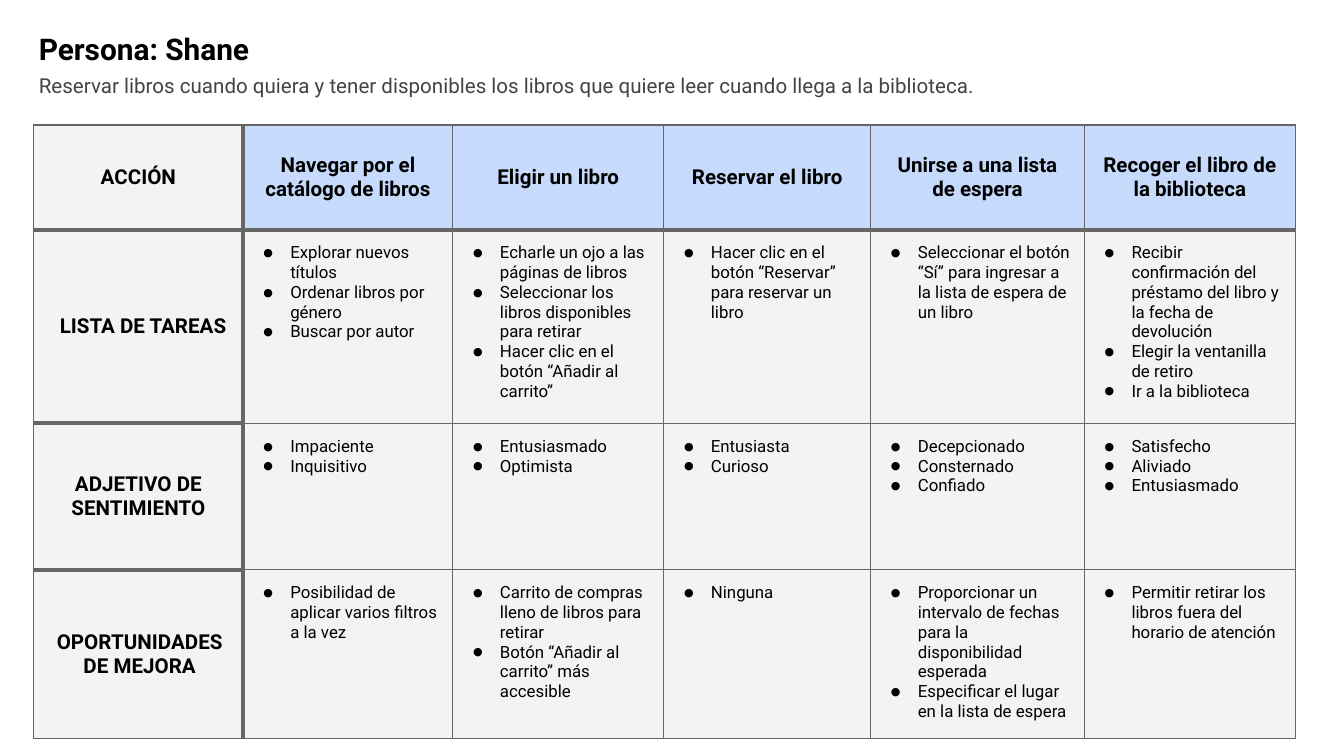
from lxml import etree
from pptx import Presentation
from pptx.dml.color import RGBColor
from pptx.enum.text import MSO_ANCHOR, PP_ALIGN
from pptx.oxml.ns import qn
from pptx.util import Inches, Pt

CENTER, LEFT = PP_ALIGN.CENTER, PP_ALIGN.LEFT
MIDDLE, TOP = MSO_ANCHOR.MIDDLE, MSO_ANCHOR.TOP
FONT = "Roboto"
BLACK, SUBTITLE_GRAY, BORDER_GRAY = "000000", "434343", "666666"
HEADER_BLUE, CELL_GRAY = "C6DAFC", "F3F3F3"
THIN, THICK = 0.75, 2.25
MARGIN = 0.1
SLIDE_WIDTH = 10

COL_WIDTHS = [1.56, 1.56, 1.57, 1.54, 1.59, 1.57]
ROW_HEIGHTS = [0.78, 1.44, 1.09, 1.15]

ACTIONS = [
    "ACCIÓN",
    "Navegar por el catálogo de libros",
    "Eligir un libro",
    "Reservar el libro",
    "Unirse a una lista de espera",
    "Recoger el libro de la biblioteca",
]
JOURNEY = [
    ("LISTA DE TAREAS", [
        ["Explorar nuevos títulos", "Ordenar libros por género", "Buscar por autor"],
        ["Echarle un ojo a las páginas de libros",
         "Seleccionar los libros disponibles para retirar",
         "Hacer clic en el botón “Añadir al carrito”"],
        ["Hacer clic en el botón “Reservar” para reservar un libro"],
        ["Seleccionar el botón “Sí” para ingresar a la lista de espera de un libro"],
        ["Recibir confirmación del préstamo del libro y la fecha de devolución",
         "Elegir la ventanilla de retiro", "Ir a la biblioteca"],
    ]),
    ("ADJETIVO DE SENTIMIENTO", [
        ["Impaciente", "Inquisitivo"],
        ["Entusiasmado", "Optimista"],
        ["Entusiasta", "Curioso"],
        ["Decepcionado", "Consternado", "Confiado"],
        ["Satisfecho", "Aliviado", "Entusiasmado"],
    ]),
    ("OPORTUNIDADES DE MEJORA", [
        ["Posibilidad de aplicar varios filtros a la vez"],
        ["Carrito de compras lleno de libros para retirar",
         "Botón “Añadir al carrito” más accesible"],
        ["Ninguna"],
        ["Proporcionar un intervalo de fechas para la disponibilidad esperada",
         "Especificar el lugar en la lista de espera"],
        ["Permitir retirar los libros fuera del horario de atención"],
    ]),
]


def rgb(color):
    return RGBColor.from_string(color)


def add_color(parent, color):
    etree.SubElement(parent, qn("a:srgbClr"), val=color)


def write_text(tf, lines, size=11, bold=False, color=BLACK, align=LEFT,
               space_after=0, indent=None, bullet=None):
    """Fill a text frame, one paragraph a line; indent is (left, first line)."""
    for i, line in enumerate(lines):
        p = tf.paragraphs[0] if i == 0 else tf.add_paragraph()
        p.alignment = align
        p.space_after = Pt(space_after)
        pPr = p._p.get_or_add_pPr()
        if indent:
            pPr.set("marL", str(Inches(indent[0])))
            pPr.set("indent", str(Inches(indent[1])))
        if bullet:
            add_color(etree.SubElement(pPr, qn("a:buClr")), color)
            etree.SubElement(pPr, qn("a:buSzPct"), val="65000")
            etree.SubElement(pPr, qn("a:buFont"), typeface=FONT)
            etree.SubElement(pPr, qn("a:buChar"), char=bullet)
        r = p.add_run()
        r.text = line
        r.font.name = FONT
        r.font.size = Pt(size)
        r.font.bold = bold
        r.font.color.rgb = rgb(color)


def add_text_box(slide, left, top, width, height, text, **text_format):
    tf = slide.shapes.add_textbox(
        Inches(left), Inches(top), Inches(width), Inches(height)).text_frame
    tf.word_wrap = True
    tf.margin_left = tf.margin_right = Inches(MARGIN)
    tf.margin_top = tf.margin_bottom = Inches(MARGIN)
    write_text(tf, [text], **text_format)


def border_widths(row, col):
    """Thick rules set off the header row and the label column."""
    label = col == 0
    last_row = row == len(ROW_HEIGHTS) - 1
    thick = {
        "L": col == 1,
        "R": label,
        "T": row == 1 or (label and row > 0),
        "B": row == 0 or (label and not last_row),
    }
    return {side: THICK if on else THIN for side, on in thick.items()}


def style_cell(cell, fill, anchor, borders):
    tcPr = cell._tc.get_or_add_tcPr()
    for side, width in borders.items():
        ln = etree.SubElement(tcPr, qn(f"a:ln{side}"), w=str(Pt(width)),
                              cap="flat", cmpd="sng")
        add_color(etree.SubElement(ln, qn("a:solidFill")), BORDER_GRAY)
        etree.SubElement(ln, qn("a:prstDash"), val="solid")
    cell.fill.solid()
    cell.fill.fore_color.rgb = rgb(fill)
    cell.vertical_anchor = anchor
    cell.margin_left = cell.margin_right = Inches(MARGIN)
    cell.margin_top = cell.margin_bottom = Inches(MARGIN)


def add_heading_cell(table, row, col, text, **text_format):
    cell = table.cell(row, col)
    fill = HEADER_BLUE if col else CELL_GRAY
    style_cell(cell, fill, MIDDLE, border_widths(row, col))
    write_text(cell.text_frame, [text], bold=True, align=CENTER, **text_format)


def add_bullet_cell(table, row, col, items):
    cell = table.cell(row, col)
    style_cell(cell, CELL_GRAY, TOP, border_widths(row, col))
    write_text(cell.text_frame, items, size=9, indent=(0.25, -0.2), bullet="●")


def add_journey_table(slide):
    table = slide.shapes.add_table(
        len(ROW_HEIGHTS), len(COL_WIDTHS), Inches(0.25), Inches(0.93),
        Inches(sum(COL_WIDTHS)), Inches(sum(ROW_HEIGHTS))).table
    table.first_row = table.horz_banding = False
    for column, width in zip(table.columns, COL_WIDTHS):
        column.width = Inches(width)
    for table_row, height in zip(table.rows, ROW_HEIGHTS):
        table_row.height = Inches(height)

    for col, action in enumerate(ACTIONS):
        add_heading_cell(table, 0, col, action)
    for row, (label, cells) in enumerate(JOURNEY, start=1):
        add_heading_cell(table, row, 0, label,
                         indent=(0.19, -0.12) if row == 1 else None)
        for col, items in enumerate(cells, start=1):
            add_bullet_cell(table, row, col, items)
    table.cell(len(JOURNEY), 0).margin_left = Inches(0.12)


def main():
    prs = Presentation()
    prs.slide_width = Inches(SLIDE_WIDTH)
    prs.slide_height = Inches(SLIDE_WIDTH * 9 / 16)
    slide = prs.slides.add_slide(prs.slide_layouts[6])
    add_text_box(slide, 0.19, 0.13, 1.95, 0.44, "Persona: Shane",
                 size=16, bold=True)
    add_text_box(slide, 0.19, 0.45, 9.28, 0.3,
                 "Reservar libros cuando quiera y tener disponibles los libros "
                 "que quiere leer cuando llega a la biblioteca.",
                 color=SUBTITLE_GRAY, space_after=3)
    add_journey_table(slide)
    prs.save("out.pptx")


if __name__ == "__main__":
    main()
